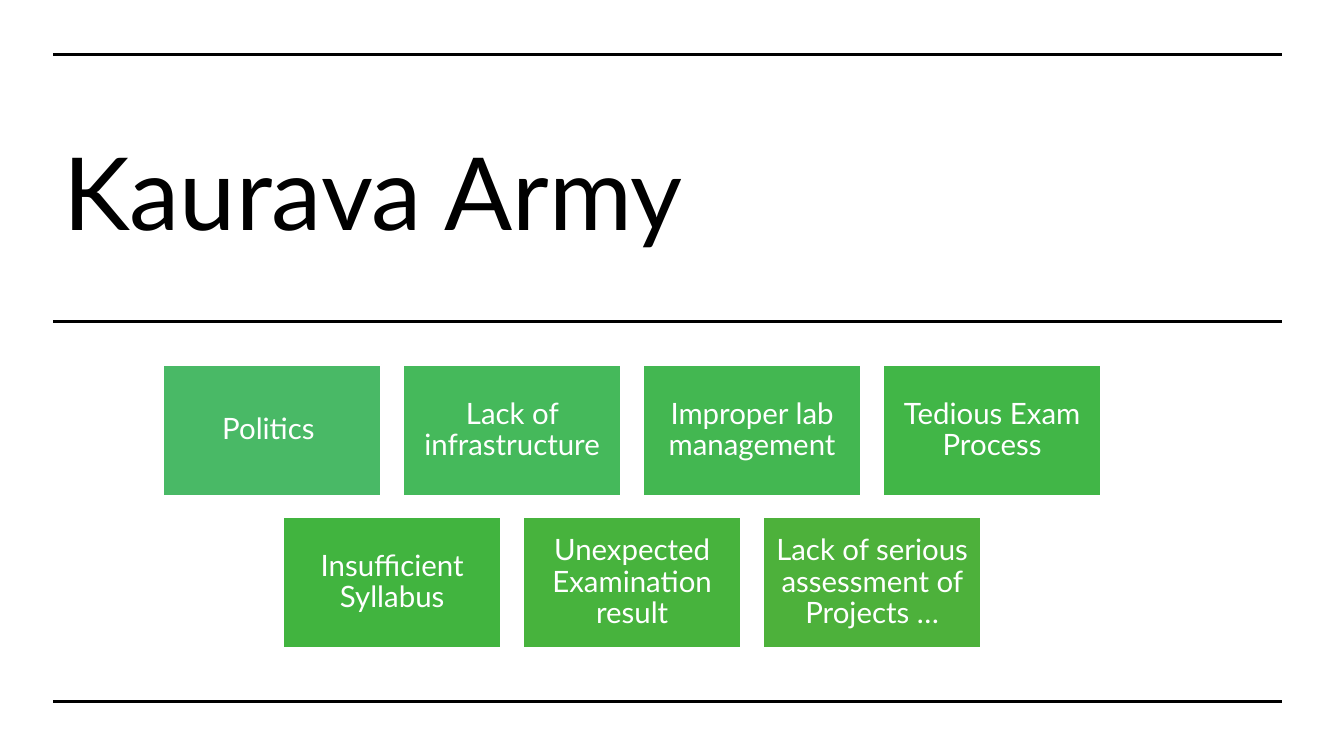
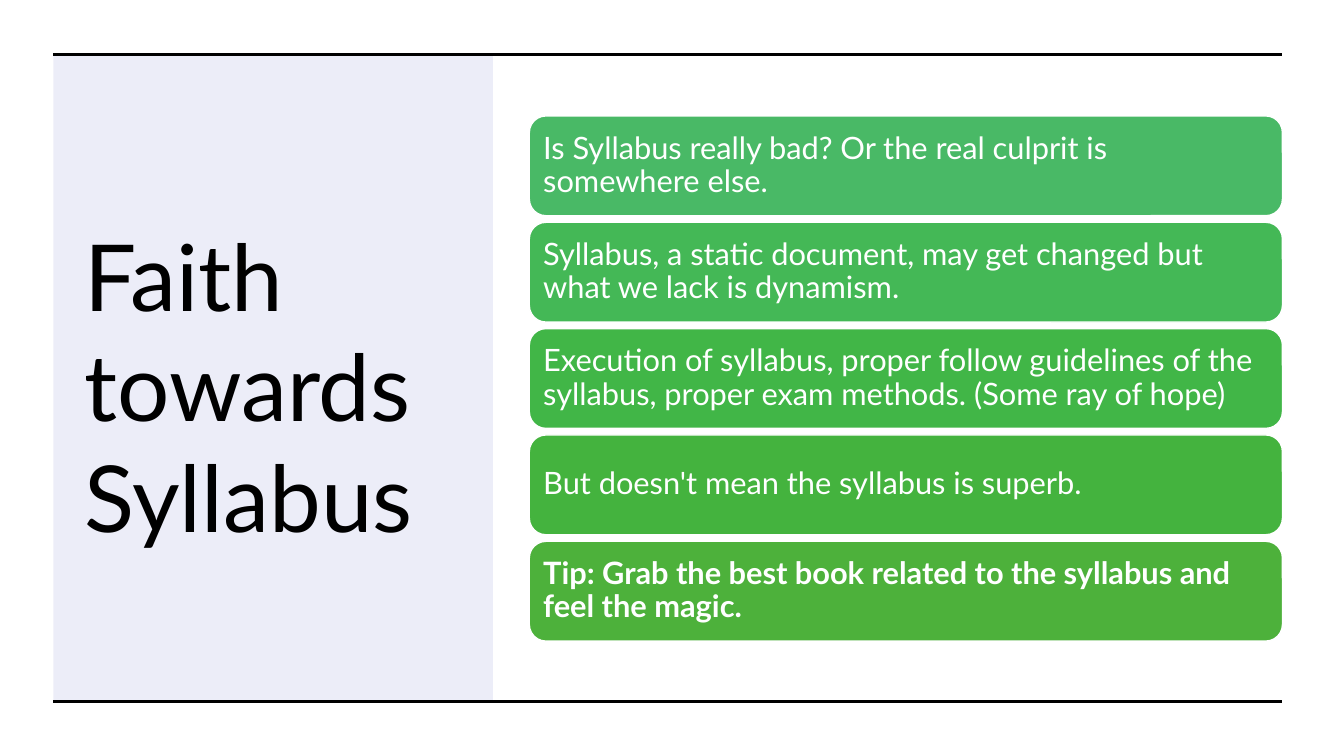
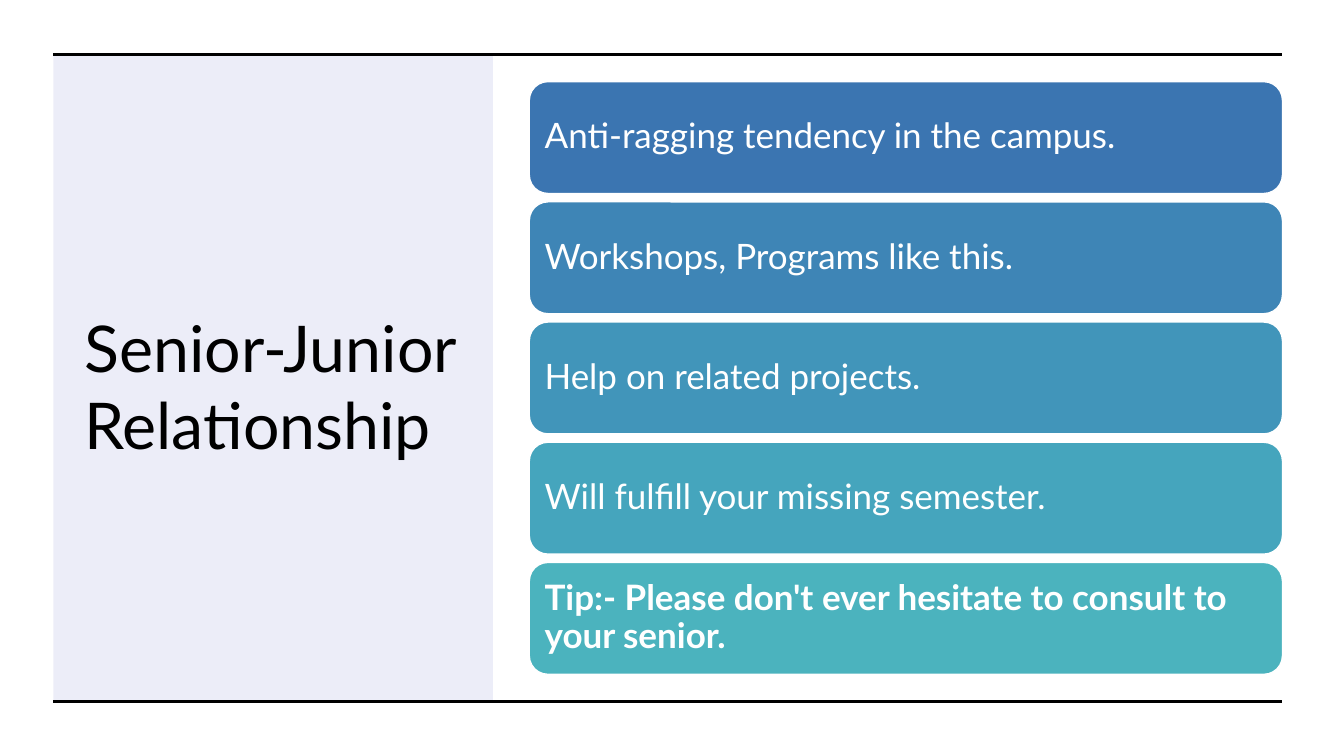
"""Build three slides on campus life: a card grid and two card stacks."""
import pptx
import pptx.util
import pptx.dml.color
import pptx.enum.shapes
import pptx.enum.text
import pptx.oxml
import pptx.oxml.ns
import lxml.etree

Inches, Pt = pptx.util.Inches, pptx.util.Pt
SHAPE = pptx.enum.shapes.MSO_SHAPE
ALIGN = pptx.enum.text.PP_ALIGN
MIDDLE = pptx.enum.text.MSO_ANCHOR.MIDDLE

FONT = "Lato"
COLORS = {"ink": "000000", "paper": "FFFFFF", "panel": "4D55C3"}
LEFT, RIGHT, TOP, BOTTOM = 0.53, 12.72, 0.54, 6.96

ARMY = {
    "title": "Kaurava Army",
    "rows": [
        [("Politics ", "49B966"), ("Lack of infrastructure", "45B95B"),
         ("Improper lab management", "43B751"), ("Tedious Exam Process", "41B647")],
        [("Insufficient Syllabus", "41B43F"), ("Unexpected Examination result", "47B33D"),
         ("Lack of serious assessment of Projects …", "4DB13B")],
    ],
}
STACKS = [
    {
        "title": "Faith towards Syllabus", "title_size": 66,
        "first": 1.15, "last": 5.37, "height": 0.99, "size": 22, "inset": 0.09,
        "cards": [
            ("Is Syllabus really bad? Or the real culprit is somewhere else.", "49B966"),
            ("Syllabus, a static document, may get changed but what we lack is dynamism.", "44B856"),
            ("Execution of syllabus, proper follow guidelines of the syllabus, "
             "proper exam methods. (Some ray of hope)", "41B647"),
            ("But doesn't mean the syllabus is superb.", "44B33E"),
            ("Tip: Grab the best book related to the syllabus and feel the magic.", "4DB13B"),
        ],
    },
    {
        "title": "Senior-Junior Relationship", "title_size": 46,
        "first": 0.81, "last": 5.58, "height": 1.11, "size": 25, "inset": 0.1,
        "cards": [
            ("Anti-ragging tendency in the campus.", "3B75B1"),
            ("Workshops, Programs like this.", "3E85B6"),
            ("Help on related projects.", "4195BA"),
            ("Will fulfill your missing semester.", "45A5BD"),
            ("Tip:- Please don't ever hesitate to consult to your senior.", "4BB3BE"),
        ],
    },
]


def rgb(value):
    return pptx.dml.color.RGBColor.from_string(value)


def inches(*lengths):
    return [Inches(length) for length in lengths]


def write(shape, text, size, color, align=ALIGN.LEFT, bold=False):
    frame = shape.text_frame
    frame.word_wrap = True
    frame.vertical_anchor = MIDDLE
    para = frame.paragraphs[0]
    para.text = text
    para.alignment = align
    para.font.name, para.font.size, para.font.bold = FONT, Pt(size), bold
    para.font.color.rgb = rgb(color)
    return frame, para


def add_title(page, text, size, place):
    frame, _ = write(page.shapes.add_textbox(*inches(*place)), text, size, COLORS["ink"])
    frame.margin_right = Inches(0.05)


def add_rules(page, *heights):
    for y in heights:
        rule = page.shapes.add_connector(
            pptx.enum.shapes.MSO_CONNECTOR.STRAIGHT, *inches(LEFT, y, RIGHT, y))
        rule.line.color.rgb = rgb(COLORS["ink"])
        rule.line.width = Pt(2.25)
        lxml.etree.SubElement(
            rule._element.spPr, pptx.oxml.ns.qn("a:effectLst"))


def add_block(page, kind, place, color):
    block = page.shapes.add_shape(kind, *inches(*place))
    block.shadow.inherit = False
    block.fill.solid()
    block.fill.fore_color.rgb = rgb(color)
    return block


def add_card(page, kind, place, card, size, inset, align, bold=False):
    text, color = card
    block = add_block(page, kind, place, color)
    block.line.color.rgb = rgb(COLORS["paper"])
    block.line.width = Pt(1)
    frame, para = write(block, text, size, COLORS["paper"], align, bold)
    para.line_spacing = 0.9
    frame.margin_left = frame.margin_right = Inches(inset)
    frame.margin_top = frame.margin_bottom = Inches(inset)


def add_panel(page):
    panel = add_block(page, SHAPE.RECTANGLE, (LEFT, TOP, 4.36, 6.41), COLORS["panel"])
    panel.line.fill.background()
    tint = panel._element.spPr.find(".//" + pptx.oxml.ns.qn("a:srgbClr"))
    lxml.etree.SubElement(tint, pptx.oxml.ns.qn("a:alpha"), val="10000")


def build_army(page):
    add_title(page, ARMY["title"], 72, (LEFT, 1.07, 9.2, 1.63))
    add_rules(page, TOP, 3.19, BOTTOM)
    width, height, step_x, step_y, center = 2.16, 1.3, 2.38, 1.51, 6.27
    for row, cards in enumerate(ARMY["rows"]):
        start = center - ((len(cards) - 1) * step_x + width) / 2
        for column, card in enumerate(cards):
            place = (start + column * step_x, 3.62 + row * step_y, width, height)
            add_card(page, SHAPE.RECTANGLE, place, card, 21, 0.09, ALIGN.CENTER)


def build_stack(page, stack):
    add_panel(page)
    add_title(page, stack["title"], stack["title_size"], (0.74, 1.07, 3.89, 5.5))
    add_rules(page, TOP, BOTTOM)
    last = len(stack["cards"]) - 1
    step = (stack["last"] - stack["first"]) / last
    for index, card in enumerate(stack["cards"]):
        place = (5.25, stack["first"] + index * step, 7.47, stack["height"])
        add_card(page, SHAPE.ROUNDED_RECTANGLE, place, card, stack["size"],
                 stack["inset"], ALIGN.LEFT, bold=index == last)


def main():
    deck = pptx.Presentation()
    deck.slide_width, deck.slide_height = inches(13.33, 7.5)
    blank = deck.slide_layouts[6]
    build_army(deck.slides.add_slide(blank))
    for stack in STACKS:
        build_stack(deck.slides.add_slide(blank), stack)
    deck.save("out.pptx")


if __name__ == "__main__":
    main()
